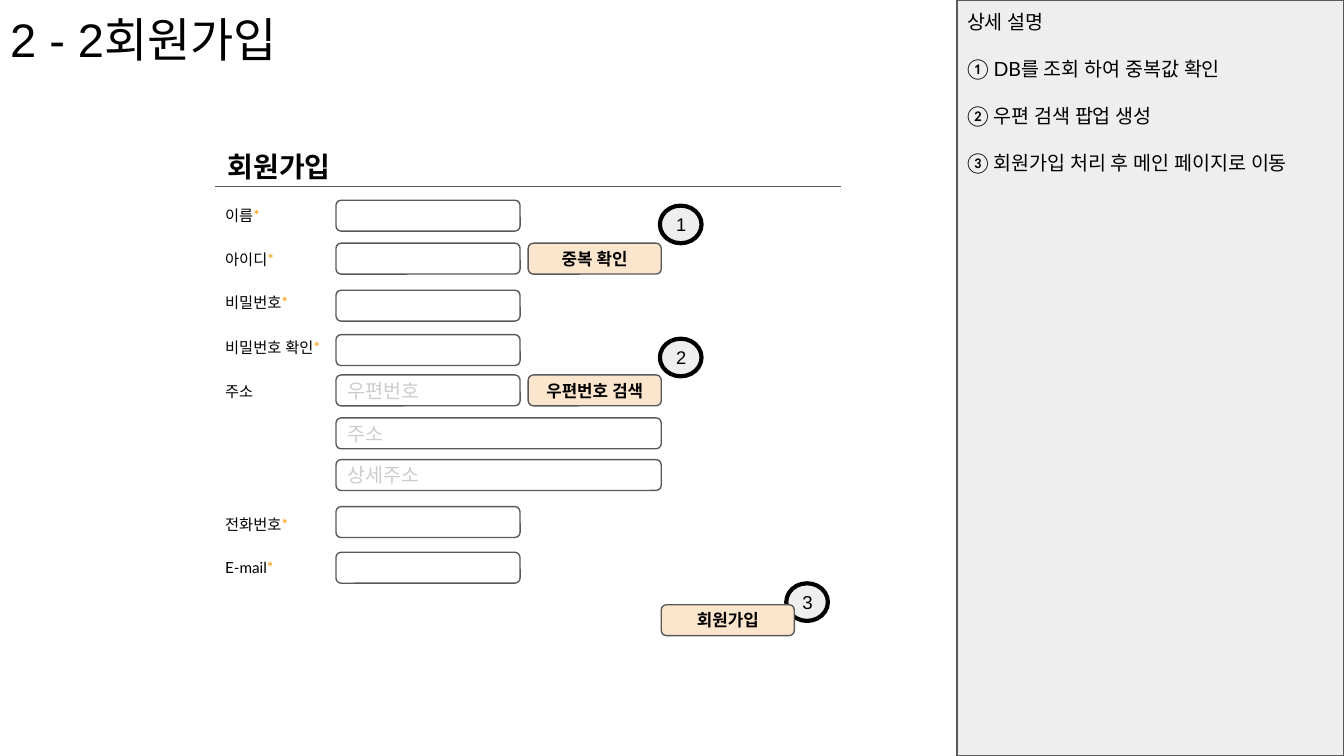
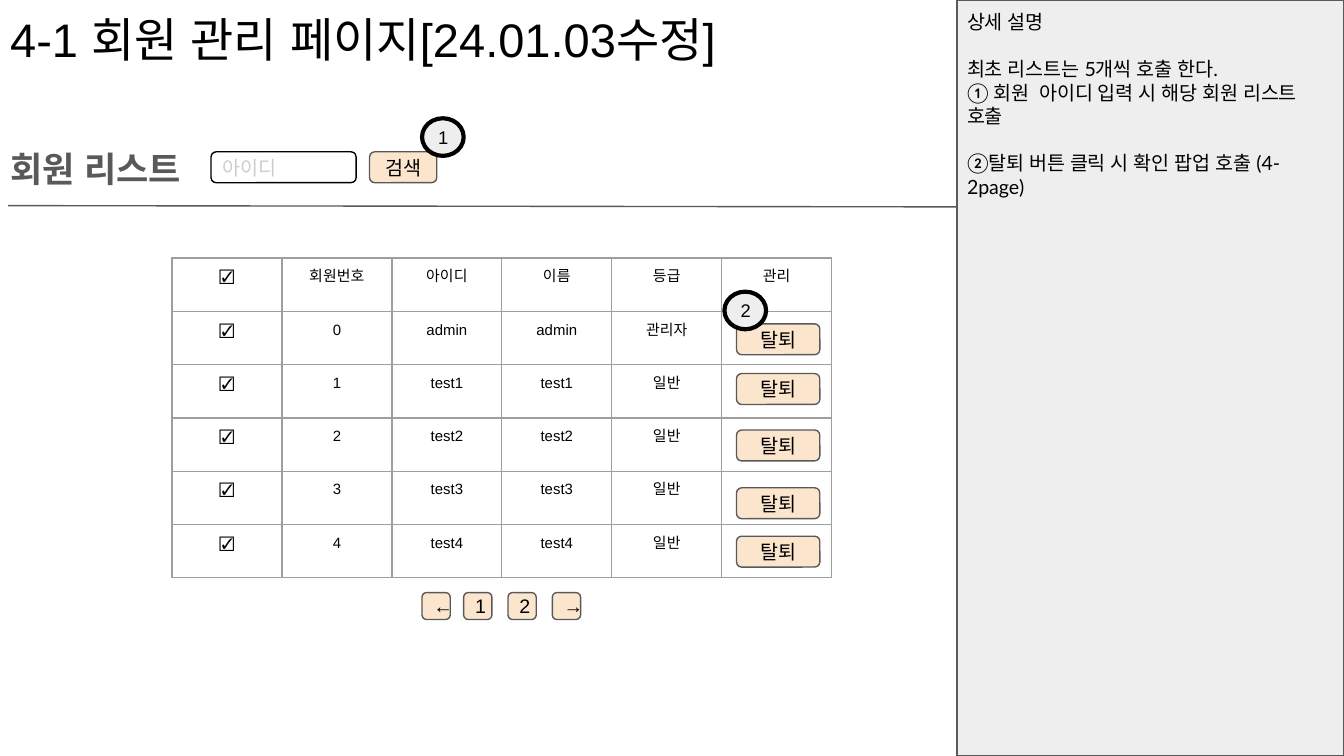
import pptx
import pptx.util
import pptx.dml.color
import pptx.enum.lang
import pptx.enum.shapes
import pptx.enum.text
import pptx.oxml.ns
import lxml.etree

Inches = pptx.util.Inches
Pt = pptx.util.Pt
KIND = pptx.enum.shapes.MSO_SHAPE
ALIGN = pptx.enum.text.PP_ALIGN
ANCHOR = pptx.enum.text.MSO_ANCHOR
qn = pptx.oxml.ns.qn

COLORS = {
    "black": "000000",
    "white": "FFFFFF",
    "dark": "595959",
    "panel": "EEEEEE",
    "peach": "FCE5CD",
    "hint": "CCCCCC",
    "star": "FF9900",
    "grid": "9E9E9E",
}
WIDTH = Inches(10)
HEIGHT = WIDTH * 9 // 16
INSET = Pt(5.4)
BOX_H = 0.23
NOTE_SIZE = 10.5


def color(name):
    return pptx.dml.color.RGBColor.from_string(COLORS[name])


def style(run, size, tint="black", face="Arial", bold=False):
    font = run.font
    font.size = Pt(size)
    font.name = face
    font.bold = bold
    font.color.rgb = color(tint)
    font.language_id = pptx.enum.lang.MSO_LANGUAGE_ID.KOREAN
    for tag in ("a:ea", "a:cs"):
        lxml.etree.SubElement(run._r.get_or_add_rPr(), qn(tag), typeface=face)


def setup(frame, anchor=ANCHOR.TOP):
    """Set wrapping, anchor and equal insets of a text frame."""
    frame.word_wrap = True
    frame.auto_size = pptx.enum.text.MSO_AUTO_SIZE.NONE
    frame.vertical_anchor = anchor
    frame.margin_left = frame.margin_right = INSET
    frame.margin_top = frame.margin_bottom = INSET


def write(frame, text, size, align=ALIGN.LEFT, anchor=ANCHOR.TOP, **look):
    setup(frame, anchor)
    frame.text = text
    para = frame.paragraphs[0]
    para.alignment = align
    for run in para.runs:
        style(run, size, **look)
    return para


def add_title(slide, text):
    title = slide.shapes.title
    title.left, title.top = Inches(0), Inches(0)
    title.width, title.height = Inches(6.31), Inches(0.44)
    write(title.text_frame, text, 25.2)


def add_text(slide, left, top, width, height, text, size, **look):
    box = slide.shapes.add_textbox(
        Inches(left), Inches(top), Inches(width), Inches(height))
    return write(box.text_frame, text, size, **look)


def add_label(slide, top, width, text, needed=True):
    """Add a field name, with a star if the field is needed."""
    para = add_text(slide, 1.6, top, width, 0.28, text, 8.2, face="Lato")
    if needed:
        star = para.add_run()
        star.text = "*"
        style(star, 8.2, "star", "Lato")


def add_shape(slide, kind, left, top, width, height, fill, edge="dark", weight=0.75):
    shape = slide.shapes.add_shape(
        kind, Inches(left), Inches(top), Inches(width), Inches(height))
    shape.shadow.inherit = False
    shape.fill.solid()
    shape.fill.fore_color.rgb = color(fill)
    shape.line.color.rgb = color(edge)
    shape.line.width = Pt(weight)
    return shape


def add_field(slide, top, left=2.5, width=1.37, hint="", edge="dark"):
    box = add_shape(slide, KIND.ROUNDED_RECTANGLE, left, top, width, BOX_H, "white", edge)
    if hint:
        write(box.text_frame, hint, 10.5, anchor=ANCHOR.MIDDLE, tint="hint")


def add_button(slide, left, top, width, text, height=BOX_H, size=10.5, **look):
    box = add_shape(slide, KIND.ROUNDED_RECTANGLE, left, top, width, height, "peach")
    write(box.text_frame, text, size, ALIGN.CENTER, ANCHOR.MIDDLE, **look)


def add_badge(slide, left, top, text, size=9.8):
    disc = add_shape(slide, KIND.OVAL, left, top, 0.31, 0.28, "panel", "black", 2.25)
    write(disc.text_frame, text, size, ALIGN.CENTER, ANCHOR.MIDDLE)


def add_rule(slide, x1, y1, x2, y2):
    line = slide.shapes.add_connector(
        pptx.enum.shapes.MSO_CONNECTOR.STRAIGHT,
        Inches(x1), Inches(y1), Inches(x2), Inches(y2))
    line.line.color.rgb = color("dark")
    line.line.width = Pt(0.75)
    lxml.etree.SubElement(line._element.spPr, qn("a:effectLst"))


def add_panel(slide, groups):
    """Add the side notes, with one line of space between groups."""
    box = add_shape(slide, KIND.RECTANGLE, 7.12, 0, 2.88, 5.62, "panel")
    box.height = HEIGHT
    frame = box.text_frame
    setup(frame)
    frame.margin_right = Inches(0.12)
    frame.text = "\n".join(line for group in groups for line in group)
    heads = [group[0] for group in groups[1:]]
    for para in frame.paragraphs:
        para.alignment = ALIGN.LEFT
        if para.text in heads:
            para.space_before = Pt(NOTE_SIZE * 1.2)
        for run in para.runs:
            style(run, NOTE_SIZE, face="Lato")


def add_edges(cell):
    props = cell._tc.get_or_add_tcPr()
    for i, side in enumerate(("lnL", "lnR", "lnT", "lnB")):
        line = lxml.etree.Element(qn("a:" + side), w=str(Pt(0.75)))
        fill = lxml.etree.SubElement(line, qn("a:solidFill"))
        lxml.etree.SubElement(fill, qn("a:srgbClr"), val=COLORS["grid"])
        props.insert(i, line)


def add_table(slide, left, top, width, height, rows):
    table = slide.shapes.add_table(
        len(rows), len(rows[0]),
        Inches(left), Inches(top), Inches(width), Inches(height)).table
    table.first_row = table.horz_banding = False
    for r, row in enumerate(rows):
        for c, text in enumerate(row):
            cell = table.cell(r, c)
            cell.fill.background()
            cell.margin_left = cell.margin_right = INSET
            cell.margin_top = cell.margin_bottom = INSET
            cell.text_frame.text = text
            para = cell.text_frame.paragraphs[0]
            para.alignment = ALIGN.CENTER
            for run in para.runs:
                style(run, 8)
            if not text:
                lxml.etree.SubElement(para._p, qn("a:endParaRPr"), sz="800")
            add_edges(cell)


def new_slide(deck, title):
    slide = deck.slides.add_slide(deck.slide_layouts[5])
    add_title(slide, title)
    return slide


def build_join(deck):
    slide = new_slide(deck, "2 - 2회원가입")
    add_text(slide, 1.62, 1.04, 1.14, 0.33, "회원가입", 15, face="Lato", bold=True)
    add_rule(slide, 1.6, 1.39, 6.26, 1.39)
    add_panel(slide, [
        ["상세 설명"],
        ["① DB를 조회 하여 중복값 확인"],
        ["② 우편 검색 팝업 생성"],
        ["③ 회원가입 처리 후 메인 페이지로 이동"],
    ])
    labels = [
        (1.46, 0.44, "이름"), (1.79, 0.62, "아이디"), (2.11, 0.68, "비밀번호"),
        (2.44, 0.94, "비밀번호 확인"), (2.77, 0.44, "주소"),
        (3.76, 0.68, "전화번호"), (4.08, 0.62, "E-mail"),
    ]
    for top, width, text in labels:
        add_label(slide, top, width, text, needed=text != "주소")
    for top in (1.49, 1.81, 2.16, 2.49, 3.77, 4.11):
        add_field(slide, top)
    add_field(slide, 2.79, hint="우편번호")
    for top, hint in ((3.11, "주소"), (3.42, "상세주소")):
        add_field(slide, top, width=2.42, hint=hint)
    add_badge(slide, 4.91, 1.53, "1")
    add_badge(slide, 4.91, 2.52, "2")
    add_badge(slide, 5.85, 4.34, "3", 10)
    buttons = [(3.93, 1.81, "중복 확인"), (3.93, 2.79, "우편번호 검색"), (4.92, 4.5, "회원가입")]
    for left, top, text in buttons:
        add_button(slide, left, top, 0.99, text, size=9, face="Lato", bold=True)


def build_users(deck):
    slide = new_slide(deck, "4-1 회원 관리 페이지[24.01.03수정]")
    add_text(slide, 0, 1.02, 1.69, 0.44, "회원 리스트", 18.8, tint="dark", bold=True)
    check = "☑️"
    rows = [
        [check, "회원번호", "아이디", "이름", "등급", "관리"],
        [check, "0", "admin", "admin", "관리자", ""],
    ]
    for i in range(1, 5):
        rows.append([check, str(i), f"test{i}", f"test{i}", "일반", ""])
    add_table(slide, 1.28, 1.92, 4.91, 2.38, rows)
    add_rule(slide, 0.06, 1.53, 7.42, 1.54)
    for top in (2.41, 2.78, 3.2, 3.63, 3.99):
        add_button(slide, 5.48, top, 0.62, "탈퇴")
    add_panel(slide, [
        ["상세 설명"],
        ["최초 리스트는 5개씩 호출 한다.", "① 회원  아이디 입력 시 해당 회원 리스트 호출"],
        ["②탈퇴 버튼 클릭 시 확인 팝업 호출 (4-2page)"],
    ])
    add_field(slide, 1.13, 1.57, 1.08, "아이디", "black")
    add_button(slide, 2.75, 1.13, 0.5, "검색")
    add_badge(slide, 3.14, 0.88, "1")
    add_badge(slide, 5.39, 2.17, "2")
    for left, text in ((3.14, "←"), (3.45, "1"), (3.78, "2"), (4.11, "→")):
        add_button(slide, left, 4.41, 0.21, text, height=0.2)


def main():
    deck = pptx.Presentation()
    deck.slide_width, deck.slide_height = WIDTH, HEIGHT
    build_join(deck)
    build_users(deck)
    deck.save("out.pptx")


if __name__ == "__main__":
    main()
